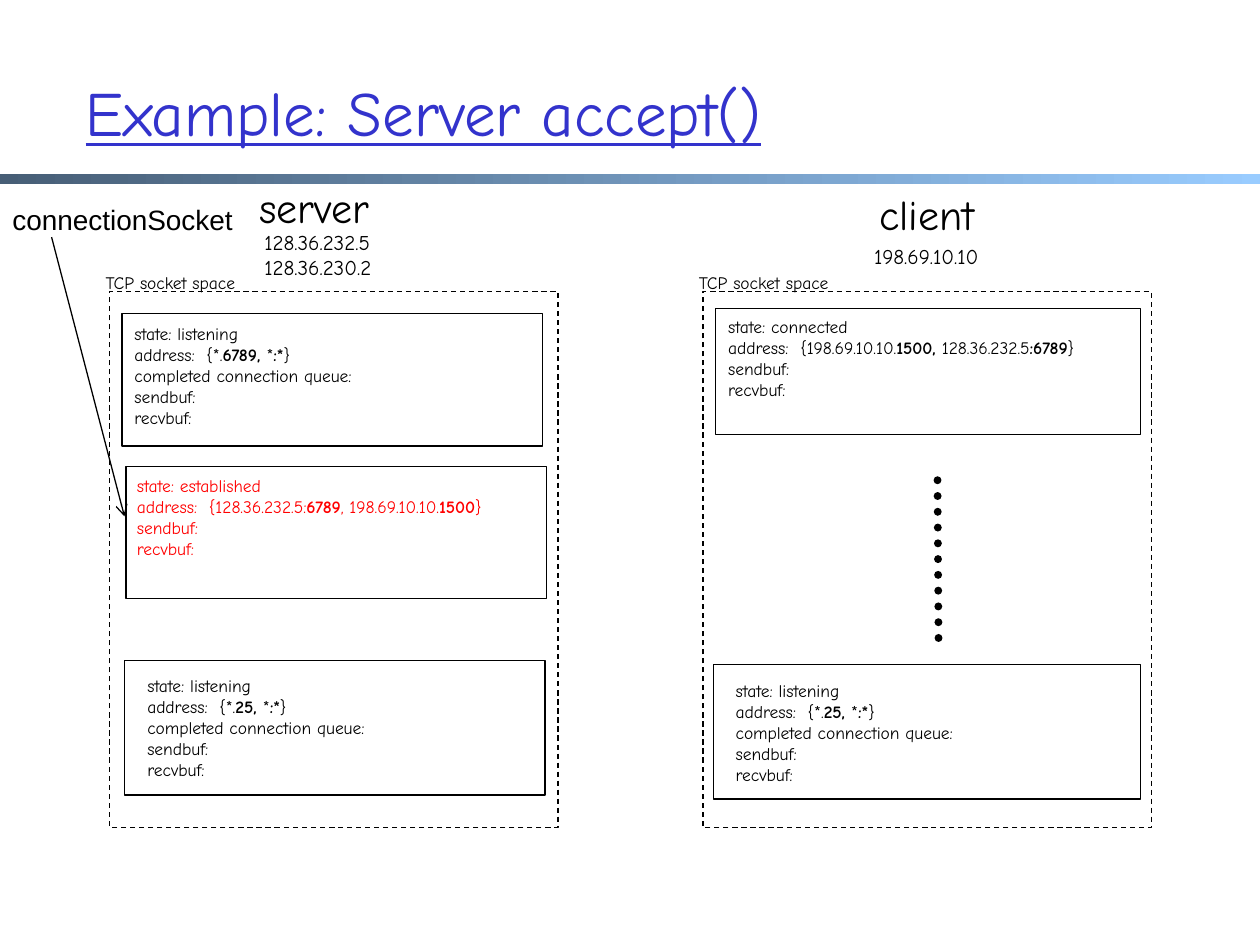
"""Slide showing the sockets of a server and a client after accept()."""
import dataclasses

import lxml.etree
import pptx
import pptx.dml.color
import pptx.enum.dml
import pptx.enum.shapes
import pptx.enum.text
import pptx.oxml.ns
import pptx.util

Cm, Pt = pptx.util.Cm, pptx.util.Pt
RGB = pptx.dml.color.RGBColor.from_string
ALIGN = pptx.enum.text.PP_ALIGN
ANCHOR = pptx.enum.text.MSO_ANCHOR
DASH = pptx.enum.dml.MSO_LINE
RECTANGLE = pptx.enum.shapes.MSO_SHAPE.RECTANGLE


@dataclasses.dataclass(frozen=True)
class Theme:
    """Colours, fonts and type sizes of the slide."""
    ink: str = "000000"
    accent: str = "FF0000"
    title: str = "3333CC"
    bar: tuple = ("475E76", "99CCFF")
    font: str = "Comic Neue"
    plain_font: str = "Arial"
    title_size: int = 36
    host_size: int = 24
    pointer_size: int = 16
    address_size: int = 12
    small_size: int = 10
    line: float = 0.75
    dots: float = 4.5


class Deck:
    """Draws styled elements on the current slide."""

    def __init__(self, prs, theme):
        """Add a title-only slide to the presentation."""
        self.theme = theme
        self.s = prs.slides.add_slide(prs.slide_layouts[5])

    def style(self, run, size, color=None, font=None):
        """Format one run."""
        run.font.size = Pt(size)
        run.font.name = font or self.theme.font
        run.font.color.rgb = RGB(color or self.theme.ink)

    def title(self, text, box):
        """Fill, place and format the title placeholder."""
        sp = self.s.shapes.title
        sp.left, sp.top, sp.width, sp.height = map(Cm, box)
        tf = sp.text_frame
        tf.text = text
        tf.vertical_anchor = ANCHOR.MIDDLE
        p = tf.paragraphs[0]
        p.alignment = ALIGN.LEFT
        self.style(p.runs[0], self.theme.title_size, self.theme.title)
        p.runs[0].font.underline = True

    def bar(self, box):
        """Draw the gradient bar below the title."""
        sp = self.s.shapes.add_shape(RECTANGLE, *map(Cm, box))
        sp.shadow.inherit = False
        sp.line.fill.background()
        sp.fill.gradient()
        sp.fill.gradient_angle = 0
        for stop, color in zip(sp.fill.gradient_stops, self.theme.bar):
            stop.color.rgb = RGB(color)

    def frame(self, box, dash=None, shapes=None):
        """Draw an unfilled rectangle."""
        sp = (shapes or self.s.shapes).add_shape(RECTANGLE, *map(Cm, box))
        sp.shadow.inherit = False
        sp.fill.background()
        sp.line.color.rgb = RGB(self.theme.ink)
        sp.line.width = Pt(self.theme.line)
        if dash:
            sp.line.dash_style = dash

    def text(self, lines, box, size, color=None, font=None,
             anchor=ANCHOR.TOP, shapes=None):
        """Write lines of text in which bars switch bold on and off."""
        tf = (shapes or self.s.shapes).add_textbox(*map(Cm, box)).text_frame
        tf.word_wrap = False
        tf.auto_size = pptx.enum.text.MSO_AUTO_SIZE.SHAPE_TO_FIT_TEXT
        tf.vertical_anchor = anchor
        for i, line in enumerate(lines):
            p = tf.add_paragraph() if i else tf.paragraphs[0]
            p.alignment = ALIGN.LEFT
            for j, part in enumerate(line.split("|")):
                r = p.add_run()
                r.text = part
                self.style(r, size, color, font)
                r.font.bold = j % 2 == 1

    def host(self, name, name_box, addresses, address_box):
        """Write a host name and its addresses."""
        self.text([name], name_box, self.theme.host_size, anchor=ANCHOR.MIDDLE)
        self.text(addresses, address_box, self.theme.address_size)

    def socket_space(self, left, top):
        """Draw a dashed socket space with its label."""
        self.frame((left, top, 9.04, 10.8), DASH.DASH)
        self.text(["TCP socket space"], (left - 0.33, top - 0.52, 3.35, 0.69),
                  self.theme.small_size)

    def socket(self, lines, box, text_box, color=None):
        """Draw a socket as a group of frame and text."""
        shapes = self.s.shapes.add_group_shape().shapes
        self.frame(box, shapes=shapes)
        self.text(lines, text_box, self.theme.small_size, color, shapes=shapes)

    def line(self, start, end, width, dash=None, arrow=False):
        """Draw a straight line, dotted or with an arrowhead."""
        sp = self.s.shapes.add_connector(
            pptx.enum.shapes.MSO_CONNECTOR.STRAIGHT, *map(Cm, start + end))
        sp.line.color.rgb = RGB(self.theme.ink)
        sp.line.width = Pt(width)
        qn = pptx.oxml.ns.qn
        props = sp._element.spPr
        ln = props.find(qn("a:ln"))
        if dash:
            sp.line.dash_style = dash
            ln.set("cap", "rnd")
        if arrow:
            lxml.etree.SubElement(ln, qn("a:tailEnd"), type="arrow")
        lxml.etree.SubElement(props, qn("a:effectLst"))


def listening(port):
    """Return the lines of a listening socket."""
    return ["state: listening", f"address:  {{*.|{port}, |*|:*|}}",
            "completed connection queue:", "sendbuf:", "recvbuf:"]


def connected(state, address):
    """Return the lines of a connected socket."""
    return [f"state: {state}", f"address:  {address}", "sendbuf:", "recvbuf:"]


def main():
    """Build and save the slide."""
    prs = pptx.Presentation()
    prs.slide_width, prs.slide_height = Cm(25.4), Cm(19.05)
    theme = Theme()
    deck = Deck(prs, theme)
    deck.bar((0, 3.51, 25.4, 0.2))
    deck.title("Example: Server accept()", (1.47, 0.66, 22.38, 3.18))

    deck.host("server", (4.98, 3.53, 3.07, 1.27),
              ["128.36.232.5", "128.36.230.2"], (5.08, 4.5, 3.1, 1.27))
    deck.host("client", (17.48, 3.68, 2.72, 1.27),
              ["198.69.10.10"], (17.37, 4.78, 2.95, 0.76))
    for left in (2.21, 14.17):
        deck.socket_space(left, 5.88)

    deck.socket(listening(6789), (2.46, 6.32, 8.48, 2.67), (2.46, 6.38, 5.31, 2.36))
    deck.socket(connected("established", "{128.36.232.5:|6789|, 198.69.10.10.|1500|}"),
                (2.54, 9.4, 8.48, 2.67), (2.51, 9.45, 8.69, 1.96), theme.accent)
    deck.socket(listening(25), (2.51, 13.31, 8.48, 2.72), (2.72, 13.49, 5.21, 2.36))
    deck.socket(connected("connected", "{198.69.10.10.|1500, |128.36.232.5|:6789|}"),
                (14.43, 6.22, 8.56, 2.54), (14.43, 6.25, 8.86, 1.96))
    deck.socket(listening(25), (14.38, 13.39, 8.61, 2.72), (14.58, 13.59, 5.21, 2.36))

    deck.line((18.9, 9.68), (18.92, 12.9), theme.dots, dash=DASH.ROUND_DOT)
    deck.text(["connectionSocket"], (0, 3.96, 5.2, 0.94), theme.pointer_size,
              font=theme.plain_font)
    deck.line((1.04, 4.78), (2.51, 10.41), theme.line, arrow=True)
    prs.save("out.pptx")


if __name__ == "__main__":
    main()
